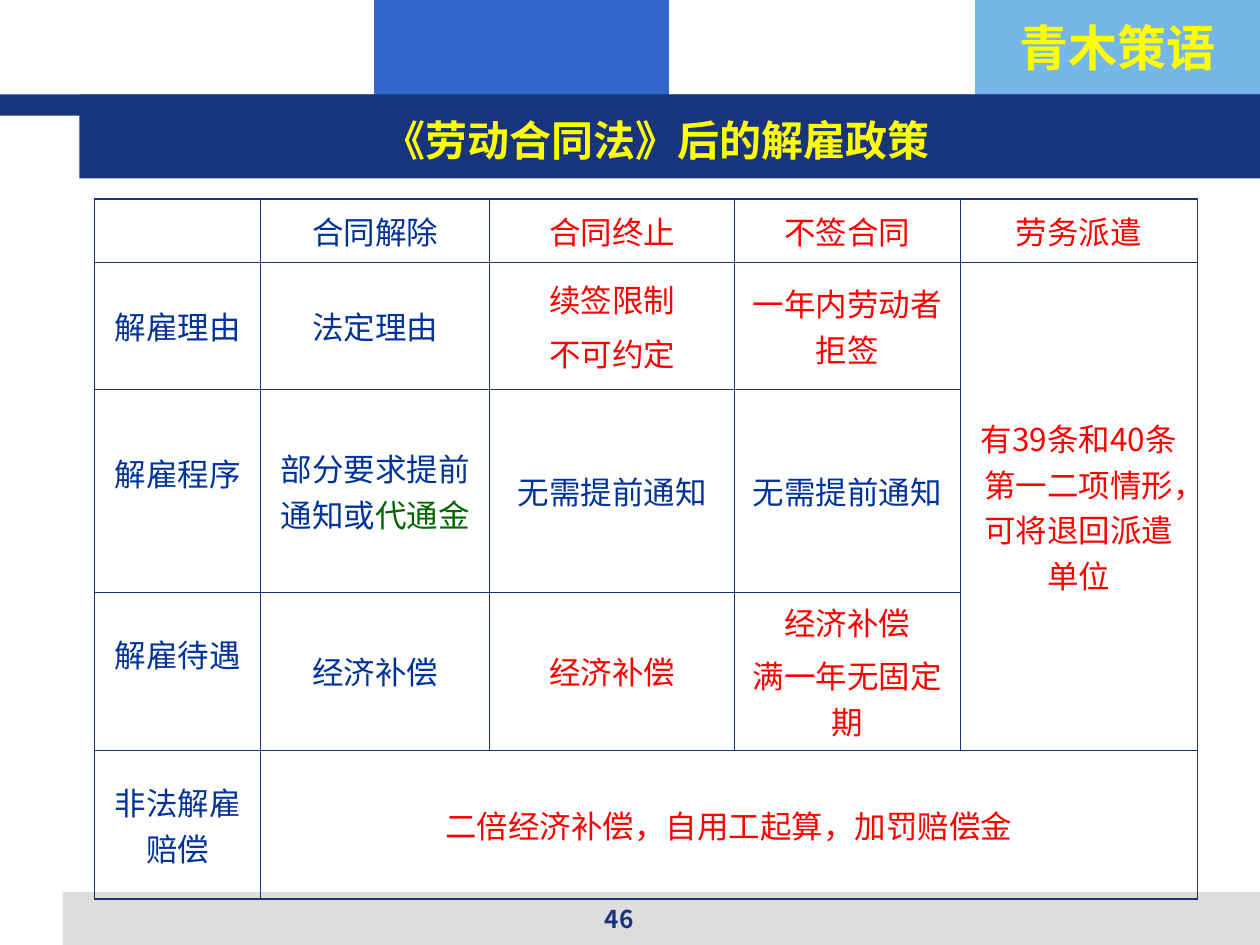
from lxml.etree import SubElement
from pptx import Presentation
from pptx.dml.color import RGBColor
from pptx.enum.shapes import MSO_SHAPE as Shape
from pptx.enum.text import MSO_ANCHOR as Anchor, PP_ALIGN as Align
from pptx.oxml import parse_xml
from pptx.oxml.ns import nsdecls, qn
from pptx.util import Pt

NAVY, BLUE, SKY, GREY = "17347D", "3366CC", "77B7E7", "DDDDDD"
YELLOW, RED, INK, GREEN = "FFFF00", "FF0000", "003399", "006600"
SANS, SANS_JP = "Noto Sans CJK SC", "Noto Sans CJK JP"

COLUMNS = [94.9, 130.9, 140, 129.1, 135.4]
ROWS = [36, 72.6, 116, 90.3, 85.1]
CELLS = {
    (0, 1): [[("合同解除", INK)]],
    (0, 2): [[("合同终止", RED)]],
    (0, 3): [[("不签合同", RED)]],
    (0, 4): [[("劳务派遣", RED)]],
    (1, 0): [[("解雇理由", INK)]],
    (1, 1): [[("法定理由", INK)]],
    (1, 2): [[("续签限制", RED)], [("不可约定", RED)]],
    (1, 3): [[("一年内劳动者拒签", RED)]],
    (1, 4): [[("有39条和40条第一二项情形，可将退回派遣单位", RED)]],
    (2, 0): [[("解雇程序", INK)]],
    (2, 1): [[("部分要求提前通知或", INK), ("代通金", GREEN)]],
    (2, 2): [[("无需提前通知", INK)]],
    (2, 3): [[("无需提前通知", INK)]],
    (3, 0): [[("解雇待遇", INK)]],
    (3, 1): [[("经济补偿", INK)]],
    (3, 2): [[("经济补偿", RED)]],
    (3, 3): [[("经济补偿", RED)], [("满一年无固定期", RED)]],
    (4, 0): [[("非法解雇赔偿", INK)]],
    (4, 1): [[("二倍经济补偿，自用工起算，加罚赔偿金", RED)]],
}
MERGES = [((1, 4), (3, 4)), ((4, 1), (4, 4))]
RAISED = [(2, 0), (3, 0)]


def color(value):
    """Turn a hex string into a colour."""
    return RGBColor.from_string(value)


def write(frame, paragraphs, **format_values):
    """Fill a text frame with centred paragraphs of coloured runs."""
    for index, runs in enumerate(paragraphs):
        paragraph = frame.add_paragraph() if index else frame.paragraphs[0]
        paragraph.alignment = Align.CENTER
        if index:
            paragraph.space_before = Pt(4.5)
        for text, ink in runs:
            run = paragraph.add_run()
            run.text = text
            for name, value in format_values.items():
                setattr(run.font, name, value)
            run.font.color.rgb = color(ink)
            SubElement(run.font._element, qn("a:ea"), typeface=format_values["name"])


def add_block(slide, left, top, width, height, fill):
    """Draw one plain rectangle."""
    shape = slide.shapes.add_shape(
        Shape.RECTANGLE, Pt(left), Pt(top), Pt(width), Pt(height))
    shape.shadow.inherit = False
    shape.fill.solid()
    shape.fill.fore_color.rgb = color(fill)
    shape.line.fill.background()


def add_label(slide, left, top, width, height, text, ink, size, font=SANS):
    """Place one bold line in the middle of a box."""
    frame = slide.shapes.add_textbox(
        Pt(left), Pt(top), Pt(width), Pt(height)).text_frame
    frame.word_wrap = True
    frame.vertical_anchor = Anchor.MIDDLE
    write(frame, [[(text, ink)]], name=font, size=Pt(size), bold=True)


def add_header(slide, left, top, width, height):
    """Draw the colour blocks, the title band and their wording."""
    block_height = 66.2
    brand_left = left + 557.3
    brand_width = left + width - brand_left
    band_left, band_top = left + 45.4, top + 54
    add_block(slide, brand_left, top, brand_width, block_height, SKY)
    add_block(slide, left + 213.8, top, 168.4, block_height, BLUE)
    add_block(slide, left, band_top, width, block_height - 54, NAVY)
    add_block(slide, band_left, band_top, left + width - band_left,
              top + height - band_top, NAVY)
    add_label(slide, brand_left, top + 6.5, brand_width, 41,
              "青木策语", YELLOW, 28, SANS_JP)
    add_label(slide, left + 54, top + 57.6, 642.2, 44.6,
              "《劳动合同法》后的解雇政策", YELLOW, 24)


def set_borders(cell, row, column):
    """Rule a cell, with heavier lines on the outside of the table."""
    properties = cell._tc.get_or_add_tcPr()
    outside = {"lnL": column == 0, "lnR": column == len(COLUMNS) - 1,
               "lnT": row == 0, "lnB": row == len(ROWS) - 1}
    for index, (side, heavy) in enumerate(outside.items()):
        line_width = Pt(1.08 if heavy else 0.45)
        properties.insert(index, parse_xml(
            f'<a:{side} {nsdecls("a")} w="{line_width}"><a:solidFill>'
            f'<a:srgbClr val="{NAVY}"/></a:solidFill></a:{side}>'))


def add_policy_table(slide, left, top):
    """Build the table of dismissal rules."""
    table = slide.shapes.add_table(
        len(ROWS), len(COLUMNS), Pt(left), Pt(top),
        Pt(sum(COLUMNS)), Pt(sum(ROWS))).table
    table.first_row = table.horz_banding = False
    for column, width in zip(table.columns, COLUMNS):
        column.width = Pt(width)
    for row, height in zip(table.rows, ROWS):
        row.height = Pt(height)
    for first, last in MERGES:
        table.cell(*first).merge(table.cell(*last))
    for row in range(len(ROWS)):
        for column in range(len(COLUMNS)):
            cell = table.cell(row, column)
            cell.fill.background()
            set_borders(cell, row, column)
            cell.vertical_anchor = Anchor.MIDDLE
            if (row, column) in RAISED:
                cell.margin_bottom = Pt(24)
            write(cell.text_frame, CELLS.get((row, column), []),
                  name=SANS, size=Pt(18))


def add_footer(slide, left, top, width, height):
    """Draw the footer bar with the page number."""
    add_block(slide, left, top, width, height, GREY)
    add_label(slide, left + 234, top + 2.9, 167.8, 24.5, "46", NAVY, 14)


def main():
    """Build the slide and save it."""
    presentation = Presentation()
    presentation.slide_width, presentation.slide_height = Pt(720), Pt(540)
    slide = presentation.slides.add_slide(presentation.slide_layouts[6])
    add_footer(slide, 36, 509.8, 684, 30.2)
    add_header(slide, 0, 0, 720, 102)
    add_policy_table(slide, 54, 113.8)
    presentation.save("out.pptx")


if __name__ == "__main__":
    main()
